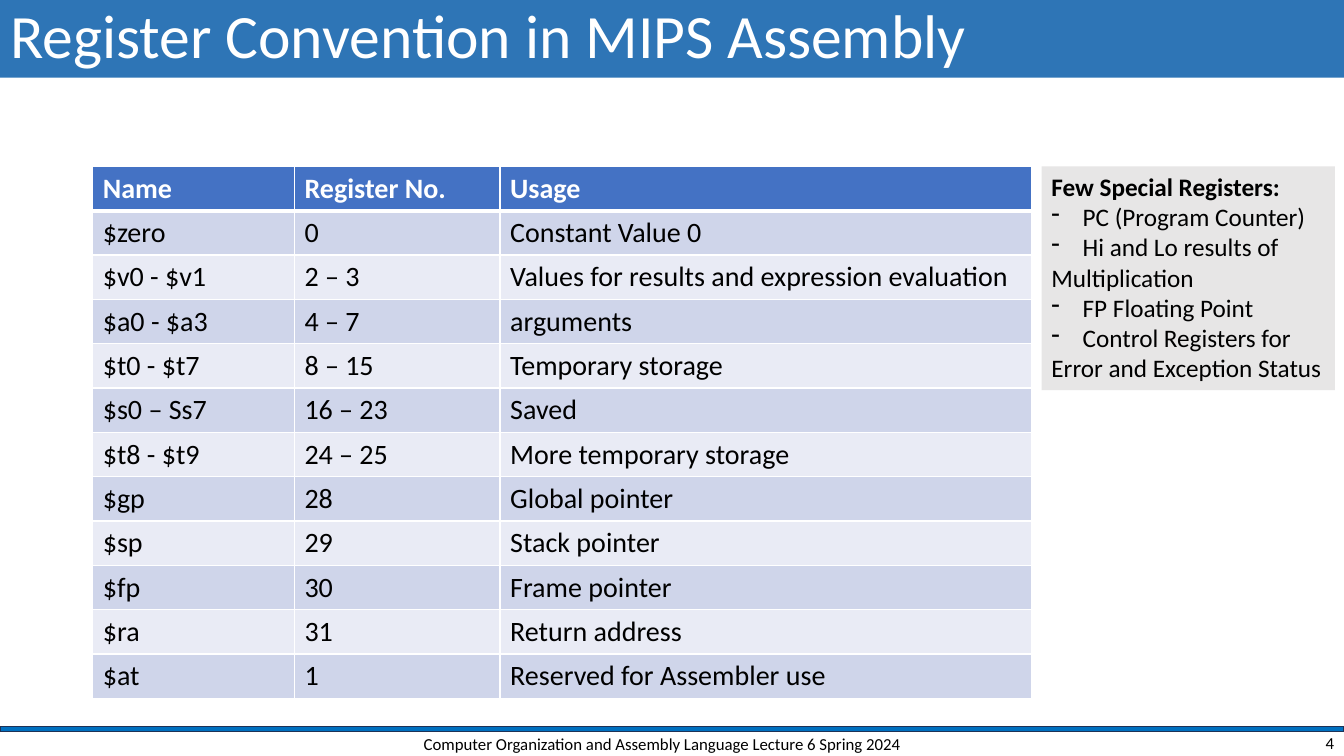
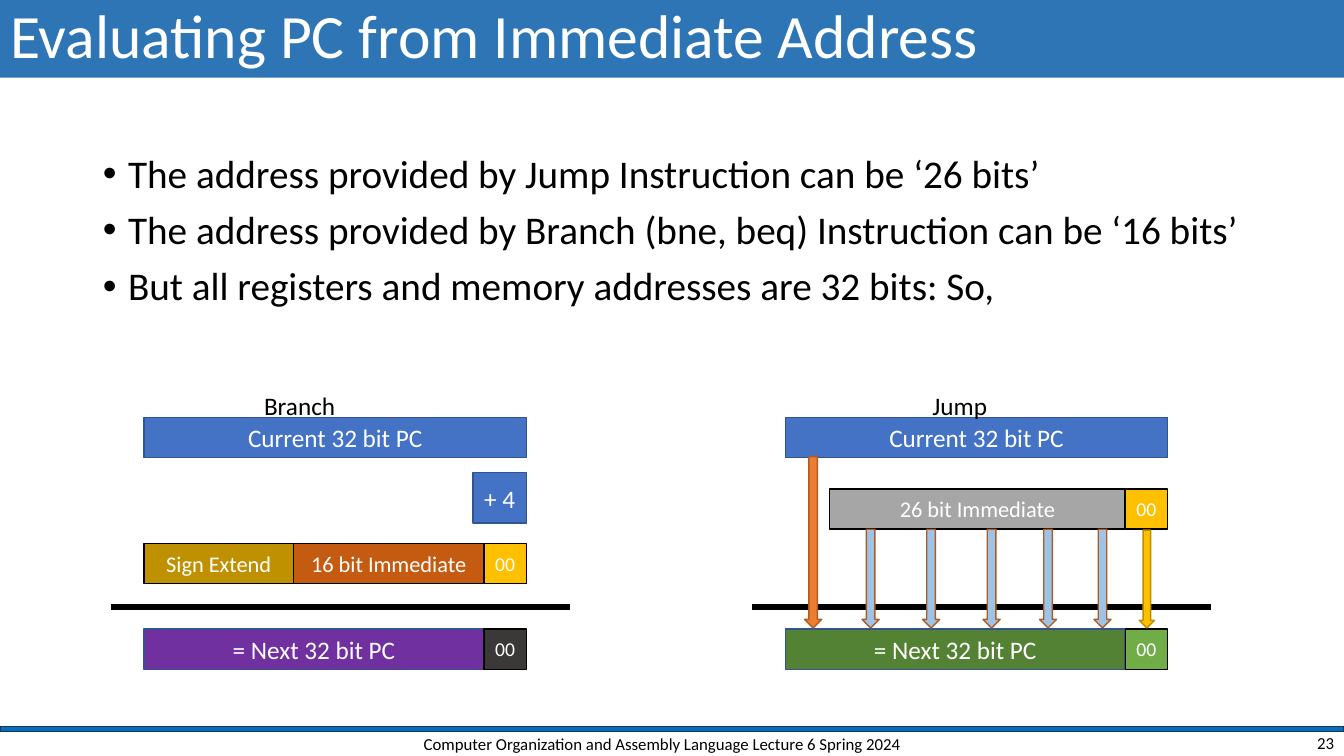
from dataclasses import dataclass
from typing import Optional, Union

from pptx import Presentation
from pptx.dml.color import RGBColor
from pptx.enum.shapes import MSO_CONNECTOR, MSO_SHAPE
from pptx.enum.text import MSO_ANCHOR, MSO_AUTO_SIZE, PP_ALIGN
from pptx.oxml import parse_xml
from pptx.oxml.ns import nsdecls
from pptx.presentation import Presentation as Deck
from pptx.shapes.autoshape import Shape
from pptx.shapes.shapetree import GroupShapes, SlideShapes
from pptx.slide import Slide
from pptx.table import _Cell as Cell
from pptx.text.text import TextFrame, _Paragraph as Paragraph
from pptx.util import Inches, Pt

# Shared look
FONT = "Calibri"
FOOTER = "Computer Organization and Assembly Language Lecture 6 Spring 2024"
WHITE = RGBColor(0xFF, 0xFF, 0xFF)
BLACK = RGBColor(0x00, 0x00, 0x00)
TITLE_BLUE = RGBColor(0x2E, 0x75, 0xB6)
BAR_BLUE = RGBColor(0x00, 0x70, 0xC0)
BAR_EDGE = RGBColor(0x1E, 0x32, 0x56)
BLUE = RGBColor(0x44, 0x72, 0xC4)
BLUE_EDGE = RGBColor(0x32, 0x54, 0x91)
ROW_DARK = RGBColor(0xCF, 0xD5, 0xEA)
ROW_LIGHT = RGBColor(0xE9, 0xEB, 0xF5)
PALE_GREY = RGBColor(0xE7, 0xE6, 0xE6)
GREY = RGBColor(0xA6, 0xA6, 0xA6)
CHARCOAL = RGBColor(0x3B, 0x38, 0x38)
RUST = RGBColor(0xC5, 0x5A, 0x11)
OCHRE = RGBColor(0xBF, 0x90, 0x00)
GOLD = RGBColor(0xFF, 0xC0, 0x00)
GOLD_EDGE = RGBColor(0xBD, 0x8E, 0x00)
PURPLE = RGBColor(0x70, 0x30, 0xA0)
DARK_GREEN = RGBColor(0x54, 0x82, 0x35)
GREEN = RGBColor(0x70, 0xAD, 0x47)
ORANGE = RGBColor(0xED, 0x7D, 0x31)
ORANGE_EDGE = RGBColor(0xAF, 0x5C, 0x24)
SKY = RGBColor(0x9D, 0xC3, 0xE6)

# Register table
COLUMN_WIDTHS = (2, 2.04, 5.27)
ROW_HEIGHT = 0.44
REGISTERS = (
    ("Name", "Register No.", "Usage"),
    ("$zero", "0", "Constant Value 0"),
    ("$v0 - $v1", "2 – 3", "Values for results and expression evaluation"),
    ("$a0 - $a3", "4 – 7", "arguments"),
    ("$t0 - $t7", "8 – 15", "Temporary storage"),
    ("$s0 – Ss7", "16 – 23", "Saved"),
    ("$t8 - $t9", "24 – 25", "More temporary storage"),
    ("$gp", "28", "Global pointer"),
    ("$sp", "29", "Stack pointer"),
    ("$fp", "30", "Frame pointer"),
    ("$ra", "31", "Return address"),
    ("$at", "1", "Reserved for Assembler use"),
)
# Text and whether it has a dash
SPECIAL_REGISTERS = (
    ("PC (Program Counter)", True),
    ("Hi and Lo results of", True),
    ("Multiplication", False),
    ("FP Floating Point", True),
    ("Control Registers for", True),
    ("Error and Exception Status", False),
)
ADDRESS_FACTS = (
    "The address provided by Jump Instruction can be ‘26 bits’",
    "The address provided by Branch (bne, beq) Instruction can be ‘16 bits’",
    "But all registers and memory addresses are 32 bits: So,",
)

# Address diagrams
PC_WIDTH = 3.79
ZEROS_WIDTH = 0.42
WORD_WIDTH = PC_WIDTH - ZEROS_WIDTH
FIELD_HEIGHT = 0.4
PC_TOP, RESULT_TOP, RULE_TOP, LABEL_TOP = 4.14, 6.24, 6.02, 3.82
BRANCH_LEFT, JUMP_LEFT = 1.43, 7.79

Shapes = Union[SlideShapes, GroupShapes]


@dataclass(frozen=True)
class Field:
    """A filled shape, with centred text when it has any."""
    left: float
    top: float
    width: float
    fill: RGBColor
    edge: Optional[RGBColor] = BLACK
    text: str = ""
    size: int = 18
    height: float = FIELD_HEIGHT
    preset: MSO_SHAPE = MSO_SHAPE.RECTANGLE


@dataclass(frozen=True)
class Diagram:
    """How one kind of instruction forms the next PC."""
    left: float
    label: str
    label_left: float
    label_width: float
    fields: tuple[Field, ...]
    result_fill: RGBColor
    zeros_fill: RGBColor
    arrows: tuple[Field, ...] = ()


def zeros(left: float, top: float, fill: RGBColor) -> Field:
    return Field(left + WORD_WIDTH, top, ZEROS_WIDTH, fill, text="00", size=14)


def arrow(left: float, top: float, fill: RGBColor, edge: RGBColor, width: float = 0.17) -> Field:
    return Field(left, top, width, fill, edge, height=6.23 - top, preset=MSO_SHAPE.DOWN_ARROW)


DIAGRAMS = (
    Diagram(
        BRANCH_LEFT, "Branch", 2.52, 0.92,
        (
            Field(4.69, 4.69, 0.53, BLUE, BLUE_EDGE, "+ 4", height=0.5),
            Field(2.91, 5.39, 1.89, RUST, text="16 bit Immediate", size=16),
            Field(BRANCH_LEFT, 5.39, 1.48, OCHRE, text="Sign Extend", size=16),
            zeros(BRANCH_LEFT, 5.39, GOLD),
        ),
        PURPLE, CHARCOAL,
    ),
    Diagram(
        JUMP_LEFT, "Jump", 9.15, 0.75,
        (
            Field(8.23, 4.85, 2.93, GREY, text="26 bit Immediate", size=16),
            zeros(JUMP_LEFT, 4.85, GOLD),
        ),
        DARK_GREEN, GREEN,
        (
            arrow(11.3, 5.26, GOLD, GOLD_EDGE, 0.15),
            arrow(7.98, 4.53, ORANGE, ORANGE_EDGE),
            *(arrow(left, 5.25, SKY, ORANGE_EDGE) for left in (8.55, 9.15, 9.75, 10.31, 10.85)),
        ),
    ),
)


def add_span(para: Paragraph, text: str, size: int, color: RGBColor = BLACK, bold: bool = False) -> None:
    span = para.add_run()
    span.text = text
    span.font.name = FONT
    span.font.size = Pt(size)
    span.font.bold = bold
    span.font.color.rgb = color


def set_bullet(para: Paragraph, mark: str, indent: float) -> None:
    properties = para._p.get_or_add_pPr()
    properties.set("marL", str(Inches(indent)))
    properties.set("indent", str(-Inches(indent)))
    properties.append(parse_xml(f'<a:buChar {nsdecls("a")} char="{mark}"/>'))


def next_para(frame: TextFrame, index: int) -> Paragraph:
    return frame.add_paragraph() if index else frame.paragraphs[0]


def place(box: Shape, left: float, top: float, width: float, height: float) -> None:
    box.left, box.top = Inches(left), Inches(top)
    box.width, box.height = Inches(width), Inches(height)


def add_field(shapes: Shapes, field: Field) -> Shape:
    box = shapes.add_shape(field.preset, Inches(field.left), Inches(field.top),
                           Inches(field.width), Inches(field.height))
    box.shadow.inherit = False
    box.fill.solid()
    box.fill.fore_color.rgb = field.fill
    if field.edge is None:
        box.line.fill.background()
    else:
        box.line.color.rgb = field.edge
        box.line.width = Pt(1)
    if field.text:
        box.text_frame.vertical_anchor = MSO_ANCHOR.MIDDLE
        para = box.text_frame.paragraphs[0]
        para.alignment = PP_ALIGN.CENTER
        add_span(para, field.text, field.size, WHITE)
    return box


def add_label(page: Slide, left: float, top: float, width: float, height: float, text: str,
              size: int, align: PP_ALIGN, anchor: MSO_ANCHOR, wrap: bool = True) -> None:
    box = page.shapes.add_textbox(Inches(left), Inches(top), Inches(width), Inches(height))
    box.text_frame.word_wrap = wrap
    box.text_frame.vertical_anchor = anchor
    para = box.text_frame.paragraphs[0]
    para.alignment = align
    add_span(para, text, size)


def add_page(deck: Deck, layout: int, title: str, number: int) -> Slide:
    page = deck.slides.add_slide(deck.slide_layouts[layout])
    band = page.shapes.title
    place(band, 0, 0, 13.33, 0.77)
    band.fill.solid()
    band.fill.fore_color.rgb = TITLE_BLUE
    band.text_frame.auto_size = MSO_AUTO_SIZE.NONE
    band.text_frame.vertical_anchor = MSO_ANCHOR.MIDDLE
    para = band.text_frame.paragraphs[0]
    para.alignment = PP_ALIGN.LEFT
    para.line_spacing = 0.9
    add_span(para, title, 44, WHITE)
    add_label(page, 3.92, 7.24, 5.3, 0.28, FOOTER, 12, PP_ALIGN.CENTER, MSO_ANCHOR.MIDDLE)
    add_label(page, 10.33, 7.24, 3, 0.25, str(number), 12, PP_ALIGN.RIGHT, MSO_ANCHOR.MIDDLE)
    return page


def format_cell(cell: Cell, text: str, row: int) -> None:
    header = row == 0
    # Borders come before the fill in the cell's properties
    widths = {"L": 1, "R": 1, "T": 3 if row == 1 else 1, "B": 3 if header else 1}
    for side, width in widths.items():
        cell._tc.get_or_add_tcPr().append(parse_xml(
            f'<a:ln{side} {nsdecls("a")} w="{Pt(width)}"><a:solidFill>'
            f'<a:srgbClr val="{WHITE}"/></a:solidFill></a:ln{side}>'))
    cell.fill.solid()
    cell.fill.fore_color.rgb = BLUE if header else ROW_DARK if row % 2 else ROW_LIGHT
    add_span(cell.text_frame.paragraphs[0], text, 20, WHITE if header else BLACK, header)


def add_register_table(page: Slide) -> None:
    table = page.shapes.add_table(
        len(REGISTERS), len(COLUMN_WIDTHS), Inches(0.92), Inches(1.65),
        Inches(sum(COLUMN_WIDTHS)), Inches(ROW_HEIGHT * len(REGISTERS))).table
    for column, width in zip(table.columns, COLUMN_WIDTHS):
        column.width = Inches(width)
    for row, texts in enumerate(REGISTERS):
        table.rows[row].height = Inches(ROW_HEIGHT)
        for column, text in enumerate(texts):
            format_cell(table.cell(row, column), text, row)


def add_special_registers(page: Slide) -> None:
    box = add_field(page.shapes, Field(10.33, 1.65, 2.91, PALE_GREY, None, height=2.22))
    frame = box.text_frame
    frame.word_wrap = False
    frame.vertical_anchor = MSO_ANCHOR.TOP
    lines = (("Few Special Registers:", False), *SPECIAL_REGISTERS)
    for index, (text, dashed) in enumerate(lines):
        para = next_para(frame, index)
        para.alignment = PP_ALIGN.LEFT
        if dashed:
            set_bullet(para, "-", 0.31)
        add_span(para, text, 18, bold=index == 0)


def add_facts(page: Slide) -> None:
    body = page.placeholders[1]
    place(body, 0.92, 1.48, 11.5, 5.09)
    body.text_frame.auto_size = MSO_AUTO_SIZE.NONE
    for index, fact in enumerate(ADDRESS_FACTS):
        para = next_para(body.text_frame, index)
        para.line_spacing = 0.9
        para.space_before = Pt(10)
        set_bullet(para, "•", 0.25)
        add_span(para, fact, 28)


def add_diagram(page: Slide, diagram: Diagram) -> None:
    left = diagram.left
    current = Field(left, PC_TOP, PC_WIDTH, BLUE, BLUE_EDGE, "Current 32 bit PC")
    for field in (current, *diagram.fields):
        add_field(page.shapes, field)
    # Next PC: word and trailing zeros
    result = page.shapes.add_group_shape()
    add_field(result.shapes, Field(left, RESULT_TOP, WORD_WIDTH, diagram.result_fill,
                                   BLUE_EDGE, "= Next 32 bit PC"))
    add_field(result.shapes, zeros(left, RESULT_TOP, diagram.zeros_fill))
    # Sum line
    rule = page.shapes.add_connector(MSO_CONNECTOR.STRAIGHT, Inches(left - 0.33), Inches(RULE_TOP),
                                     Inches(left + 4.22), Inches(RULE_TOP))
    rule.line.color.rgb = BLACK
    rule.line.width = Pt(4.5)
    rule.element.spPr.append(parse_xml(f'<a:effectLst {nsdecls("a")}/>'))
    for field in diagram.arrows:
        add_field(page.shapes, field)
    add_label(page, diagram.label_left, LABEL_TOP, diagram.label_width, 0.4, diagram.label,
              18, PP_ALIGN.LEFT, MSO_ANCHOR.TOP, wrap=False)


def main() -> None:
    deck = Presentation()
    deck.slide_width, deck.slide_height = Inches(13.33), Inches(7.5)

    # Register table
    page = add_page(deck, 5, "Register Convention in MIPS Assembly", 4)
    bar = add_field(page.shapes, Field(0, 7.21, 13.33, BAR_BLUE, BAR_EDGE, height=0.05))
    deck.slide_master.shapes.element.append(bar.element)  # shared by every page
    add_register_table(page)
    add_special_registers(page)

    # Branch and jump addresses
    page = add_page(deck, 1, "Evaluating PC from Immediate Address", 23)
    add_facts(page)
    for diagram in DIAGRAMS:
        add_diagram(page, diagram)

    deck.save("out.pptx")


if __name__ == "__main__":
    main()
